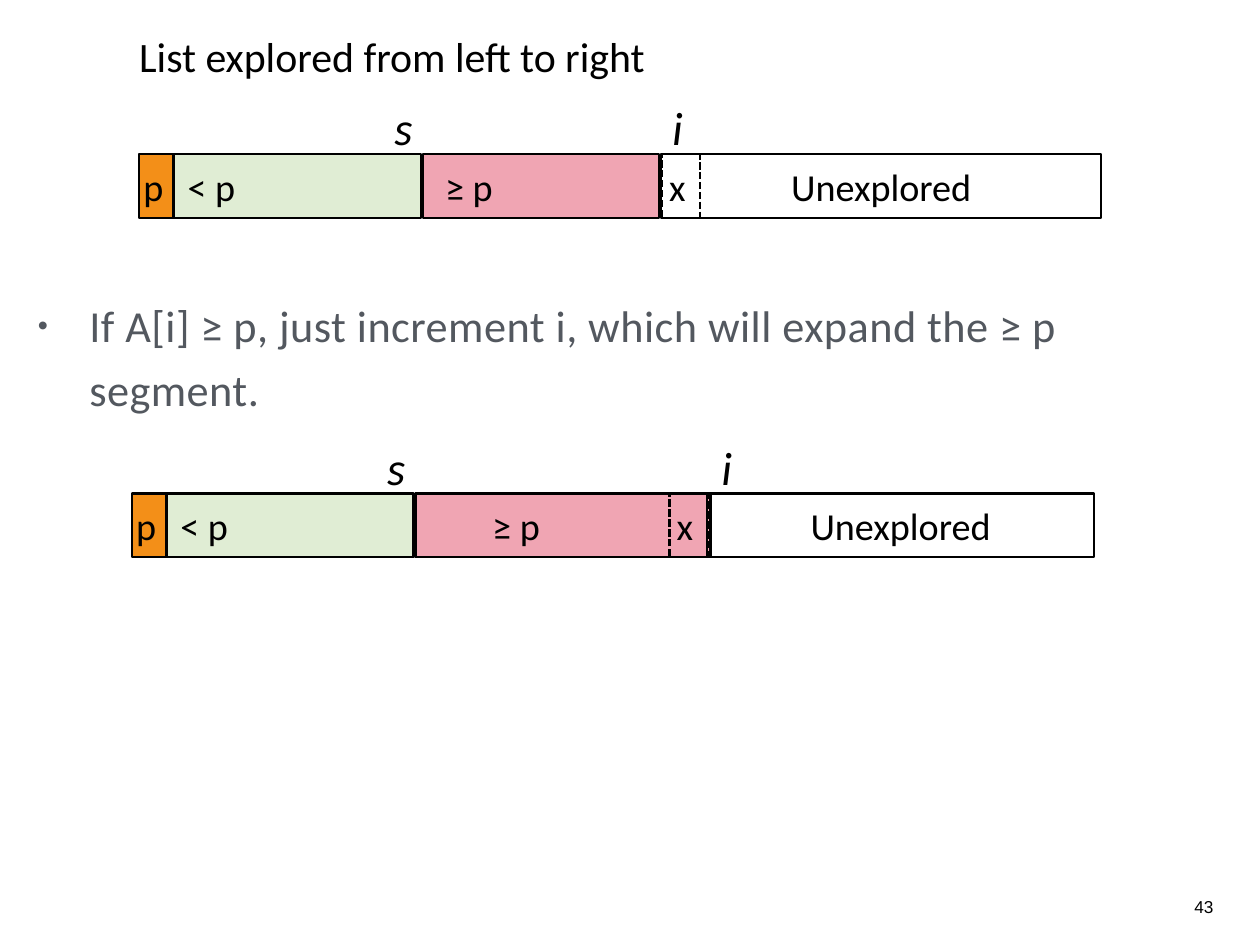
from dataclasses import dataclass
from typing import Optional

from lxml.etree import SubElement
from pptx import Presentation
from pptx.dml.color import RGBColor
from pptx.enum.dml import MSO_LINE
from pptx.enum.shapes import MSO_SHAPE
from pptx.enum.text import MSO_ANCHOR, PP_ALIGN
from pptx.oxml.ns import qn
from pptx.slide import Slide
from pptx.text.text import TextFrame, _Paragraph
from pptx.util import Cm, Pt


@dataclass(frozen=True)
class Theme:
    font: str = "Calibri"
    number_font: str = "Arial"
    ink: RGBColor = RGBColor(0x00, 0x00, 0x00)
    body_ink: RGBColor = RGBColor(0x53, 0x58, 0x5F)
    pivot: RGBColor = RGBColor(0xF3, 0x8F, 0x18)
    smaller: RGBColor = RGBColor(0xE0, 0xED, 0xD4)
    larger: RGBColor = RGBColor(0xF0, 0xA5, 0xB3)
    title_size: float = 34
    body_size: float = 36
    segment_size: float = 31
    index_size: float = 38
    number_size: float = 14
    outline: float = 2


@dataclass(frozen=True)
class Segment:
    """One stretch of a list bar; a label without an indent is centred."""
    label: str
    start: float
    end: float
    fill: Optional[RGBColor] = None
    indent: Optional[float] = None
    dashed: bool = False


@dataclass(frozen=True)
class ListState:
    """A partitioned list, in cm; all but left and top count from its left end."""
    left: float
    top: float
    index_i: float
    label_i: float
    larger_end: float
    larger_indent: float
    x_start: float


THEME = Theme()
INSET = 0.16
BAR_HEIGHT = 1.83
BAR_LENGTH = 27.58
PIVOT_END = 0.99
INDEX_S = 8.13
BORDER_GAP = 0.05
X_WIDTH = 1.09

STATES = (
    ListState(3.99, 4.42, index_i=14.96, label_i=15.09, larger_end=14.91,
              larger_indent=0.64, x_start=14.99),
    ListState(3.78, 14.15, index_i=16.49, label_i=16.71, larger_end=16.59,
              larger_indent=2.2, x_start=15.42),
)


def write(frame: TextFrame, text: str, size: float, align: PP_ALIGN,
          color: RGBColor = THEME.ink, font: str = THEME.font,
          anchor: MSO_ANCHOR = MSO_ANCHOR.MIDDLE, inset: float = INSET,
          wrap: bool = False, italic: bool = False) -> _Paragraph:
    frame.word_wrap = wrap
    frame.vertical_anchor = anchor
    frame.margin_left = frame.margin_right = Cm(inset)
    frame.margin_top = frame.margin_bottom = Cm(inset)
    paragraph = frame.paragraphs[0]
    paragraph.text = text
    paragraph.alignment = align
    paragraph.font.name = font
    paragraph.font.size = Pt(size)
    paragraph.font.italic = italic
    paragraph.font.color.rgb = color
    return paragraph


def add_segment(slide: Slide, state: ListState, segment: Segment) -> None:
    box = slide.shapes.add_shape(
        MSO_SHAPE.RECTANGLE, Cm(state.left + segment.start), Cm(state.top),
        Cm(segment.end - segment.start), Cm(BAR_HEIGHT))
    box.shadow.inherit = False
    if segment.fill is None:
        box.fill.background()
    else:
        box.fill.solid()
        box.fill.fore_color.rgb = segment.fill
    box.line.color.rgb = THEME.ink
    box.line.width = Pt(THEME.outline)
    if segment.dashed:
        box.line.dash_style = MSO_LINE.SQUARE_DOT
    align = PP_ALIGN.CENTER if segment.indent is None else PP_ALIGN.LEFT
    write(box.text_frame, segment.label, THEME.segment_size, align, wrap=True)
    if segment.indent is not None:
        box.text_frame.margin_left = Cm(segment.indent)


def add_index(slide: Slide, state: ListState, name: str, offset: float, width: float) -> None:
    label = slide.shapes.add_textbox(
        Cm(state.left + offset), Cm(state.top - 1.83), Cm(width), Cm(2.11))
    write(label.text_frame, name, THEME.index_size, PP_ALIGN.CENTER, italic=True)


def add_list_state(slide: Slide, state: ListState) -> None:
    segments = (
        Segment("< p", PIVOT_END, INDEX_S - BORDER_GAP, THEME.smaller, indent=0.4),
        Segment("≥ p", INDEX_S, state.larger_end, THEME.larger, state.larger_indent),
        Segment("p", 0, PIVOT_END, THEME.pivot, indent=0.12),
        Segment("Unexplored", state.index_i, BAR_LENGTH),
        Segment("x", state.x_start, state.x_start + X_WIDTH, indent=0.2, dashed=True),
    )
    for segment in segments:
        add_segment(slide, state, segment)
    add_index(slide, state, "s", INDEX_S - 0.97, 0.79)
    add_index(slide, state, "i", state.label_i, 0.69)


def add_title(slide: Slide, text: str) -> None:
    title = slide.shapes.title
    title.left, title.top, title.width, title.height = Cm(3.83), Cm(0.66), Cm(16.59), Cm(1.9)
    write(title.text_frame, text, THEME.title_size, PP_ALIGN.LEFT)


def add_bullet_text(slide: Slide, text: str) -> None:
    body = slide.shapes.add_textbox(Cm(1.09), Cm(8.26), Cm(34.04), Cm(17.7))
    paragraph = write(body.text_frame, text, THEME.body_size, PP_ALIGN.LEFT,
                      THEME.body_ink, anchor=MSO_ANCHOR.TOP, inset=0, wrap=True)
    paragraph.line_spacing = 1.2
    paragraph.space_before = Pt(15)
    properties = paragraph._p.get_or_add_pPr()
    properties.set("marL", str(Cm(1.47)))
    properties.set("indent", str(-Cm(1.47)))
    text_defaults = properties.find(qn("a:defRPr"))
    text_defaults.set("spc", "40")
    for tag, key, value in (("a:buSzPct", "val", "65000"),
                            ("a:buFont", "typeface", THEME.number_font),
                            ("a:buChar", "char", "•")):
        text_defaults.addprevious(SubElement(properties, qn(tag), {key: value}))


def add_page_number(slide: Slide, number: str) -> None:
    page = slide.shapes.add_textbox(Cm(32.95), Cm(25.55), Cm(2), Cm(0.84))
    write(page.text_frame, number, THEME.number_size, PP_ALIGN.RIGHT,
          font=THEME.number_font, anchor=MSO_ANCHOR.TOP, wrap=True)


def main() -> None:
    deck = Presentation()
    deck.slide_width, deck.slide_height = Cm(36.12), Cm(27.1)
    slide = deck.slides.add_slide(deck.slide_layouts[5])
    add_title(slide, "List explored from left to right")
    add_bullet_text(slide, "If A[i] ≥ p, just increment i, which will expand the ≥ p segment.")
    for state in STATES:
        add_list_state(slide, state)
    add_page_number(slide, "43")
    deck.save("out.pptx")


if __name__ == "__main__":
    main()
